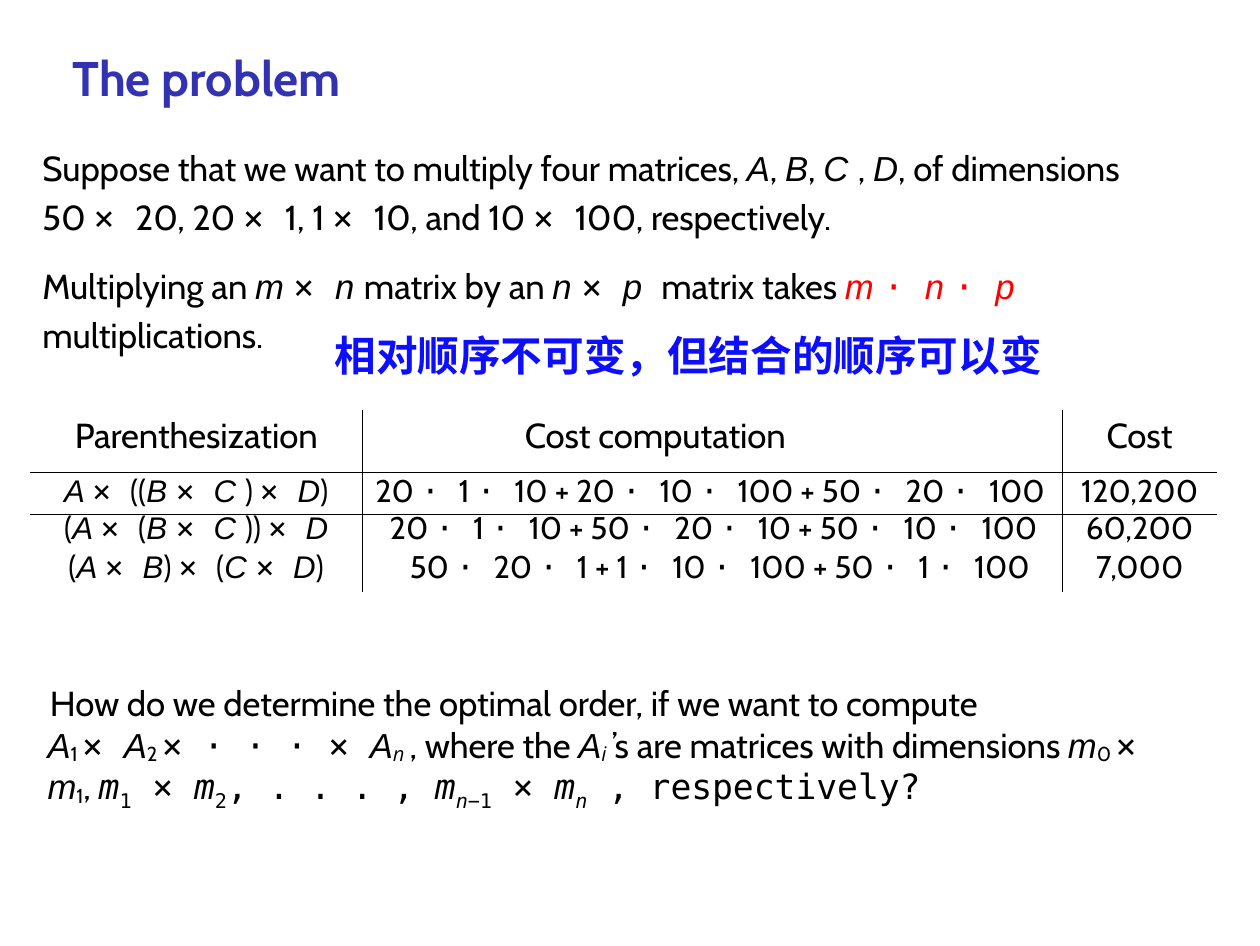
from dataclasses import dataclass

from lxml import etree
from pptx import Presentation
from pptx.dml.color import RGBColor
from pptx.enum.text import MSO_ANCHOR, MSO_AUTO_SIZE, PP_ALIGN
from pptx.oxml.ns import qn
from pptx.util import Inches, Pt

LEFT, MID, RIGHT = PP_ALIGN.LEFT, PP_ALIGN.CENTER, PP_ALIGN.RIGHT
TOP, CENTRE = MSO_ANCHOR.TOP, MSO_ANCHOR.MIDDLE
GROW = MSO_AUTO_SIZE.SHAPE_TO_FIT_TEXT
MONO = "DejaVu Sans Mono"


@dataclass
class Theme:
    """Colours, type sizes and line weights."""
    ink: str = "000000"
    head: str = "3333B2"
    red: str = "FF0000"
    blue: str = "0D0DFF"
    title: int = 14
    body: int = 10
    cell: int = 9
    note: int = 12
    lead: int = 14
    rule: float = 0.4
    font: str = "Cabin"


MARKS = {
    "~": ("Arial", True, 0),
    "_": ("Cabin", False, -9),
    "^": ("Open Sans", True, -9),
    "#": (MONO, False, 0),
    "@": (MONO, True, 0),
    "$": (MONO, False, -25),
    "%": (MONO, True, -25),
}
SIGNS = "×·"


def split(text):
    """Split marked text into parts, with plain signs marked as mono."""
    parts = []
    for part in text.split("|"):
        if part[:1] not in MARKS:
            for sign in SIGNS:
                part = part.replace(sign + " ", f"|#{sign} |")
        parts += filter(None, part.split("|"))
    return parts


class Page:
    """Holds the theme and the current slide."""

    def __init__(self, deck, theme):
        """Add a slide with a title and a body."""
        self.theme = theme
        self.slide = deck.slides.add_slide(deck.slide_layouts[1])

    def run(self, para, text, size, color, font, tilt=False, base=0, bold=False):
        """Add one styled run."""
        run = para.add_run()
        run.text = text
        run.font.name, run.font.size = font, Pt(size)
        run.font.italic, run.font.bold = tilt, bold
        run.font.color.rgb = RGBColor.from_string(color)
        if base:
            run._r.get_or_add_rPr().set("baseline", str(base * 1000))

    def math(self, para, text, size, color=None):
        """Add marked text as runs."""
        for part in split(text):
            mark = MARKS.get(part[0])
            font, tilt, base = mark or (self.theme.font, False, 0)
            self.run(para, part[1:] if mark else part, size,
                     color or self.theme.ink, font, tilt, base)

    def para(self, frame, first, lead=None, gap=0, indent=0.0, align=LEFT, inset=0.0):
        """Return a paragraph with spacing and no bullet."""
        para = frame.paragraphs[0] if first else frame.add_paragraph()
        para.alignment = align
        para.line_spacing = Pt(lead) if lead else 1.0
        para.space_before = Pt(gap)
        props = para._p.get_or_add_pPr()
        props.set("marL", str(Inches(indent)))
        props.set("marR", str(Inches(inset)))
        props.set("indent", "0")
        etree.SubElement(props, qn("a:buNone"))
        return para

    def frame(self, shape, box):
        """Place a text shape and clear its insets."""
        shape.left, shape.top, shape.width, shape.height = map(Inches, box)
        frame = shape.text_frame
        frame.margin_left = frame.margin_right = 0
        frame.margin_top = frame.margin_bottom = 0
        frame.vertical_anchor, frame.word_wrap = TOP, True
        frame.auto_size = GROW
        return frame

    def title(self, text, box):
        """Fill the title."""
        look = self.theme
        para = self.para(self.frame(self.slide.shapes.title, box), True,
                         look.lead, indent=0.01)
        self.run(para, text, look.title, look.head, look.font, bold=True)

    def body(self, paras, box):
        """Fill the body with paragraphs of coloured parts."""
        frame = self.frame(self.slide.placeholders[1], box)
        for i, parts in enumerate(paras):
            para = self.para(frame, i == 0, self.theme.lead, 6 if i else 0, 0.01)
            for text, color in parts:
                self.math(para, text, self.theme.body, color)

    def text(self, lines, box):
        """Add a text box whose first line has fixed spacing."""
        frame = self.frame(self.slide.shapes.add_textbox(0, 0, 0, 0), box)
        for i, line in enumerate(lines):
            para = self.para(frame, i == 0, None if i else self.theme.lead,
                             indent=0 if i else 0.01)
            self.math(para, line, self.theme.body)

    def note(self, text, box):
        """Add a bold one-line remark."""
        look = self.theme
        frame = self.slide.shapes.add_textbox(*map(Inches, box)).text_frame
        frame.word_wrap, frame.auto_size = False, GROW
        self.run(frame.paragraphs[0], text, look.note, look.blue, "Calibri", bold=True)

    def edge(self, cell, sides):
        """Draw the named sides of a cell and clear the rest."""
        props = cell._tc.get_or_add_tcPr()
        for i, side in enumerate("LRTB"):
            line = etree.Element(qn("a:ln" + side), w=str(Pt(self.theme.rule)))
            if side in sides:
                fill = etree.SubElement(line, qn("a:solidFill"))
                etree.SubElement(fill, qn("a:srgbClr"), val=self.theme.ink)
            else:
                etree.SubElement(line, qn("a:noFill"))
            props.insert(i, line)

    def table(self, rows, box, wide, high):
        """Add a ruled table."""
        size = len(rows), len(wide)
        table = self.slide.shapes.add_table(*size, *map(Inches, box)).table
        table.first_row = table.horz_banding = False
        for col, width in zip(table.columns, wide):
            col.width = Inches(width)
        for row, height in zip(table.rows, high):
            row.height = Inches(height)
        for r, texts in enumerate(rows):
            for c, text in enumerate(texts):
                cell = table.cell(r, c)
                cell.fill.background()
                cell.vertical_anchor = CENTRE
                cell.margin_left = cell.margin_right = 0
                cell.margin_top = cell.margin_bottom = 0
                head, main = r == 0, c == 1
                align = MID if not main else LEFT if head else RIGHT
                para = self.para(cell.text_frame, True, 9.4 if r < 2 else 8.2,
                                 indent=0.65 if head and main else 0, align=align,
                                 inset=0.04 + 0.03 * r if align == RIGHT else 0)
                self.math(para, text, self.theme.body if head else self.theme.cell)
                sides = ("L" if c else "") + ("R" if c < size[1] - 1 else "")
                sides += ("T" if r in (1, 2) else "") + ("B" if r < 2 else "")
                self.edge(cell, sides)


deck = Presentation()
deck.slide_width, deck.slide_height = Pt(363), Pt(272.5)
look = Theme()
page = Page(deck, look)
page.title("The problem", (0.28, 0.23, 4.33, 0.2))
page.body([
    [("Suppose that we want to multiply four matrices, |~A|, |~B|, |~C |, |~D|, "
      "of dimensions 50 × 20, 20 × 1, 1 × 10, and 10 × 100, respectively.", look.ink)],
    [("Multiplying an |~m |× |~n |matrix by an |~n |× |~p  |matrix takes ", look.ink),
     ("~m |· |~n |· |~p ", look.red),
     ("multiplications.", look.ink)],
], (0.16, 0.56, 4.4, 0.87))
page.table([
    ("Parenthesization", "Cost computation", "Cost"),
    ("~A |× ((|~B |× |~C |) × |~D|)",
     "20 · 1 · 10 + 20 · 10 · 100 + 50 · 20 · 100", "120,200"),
    ("(|~A |× (|~B |× |~C |)) × |~D",
     "20 · 1 · 10 + 50 · 20 · 10 + 50 · 10 · 100", "60,200"),
    ("(|~A |× |~B|) × (|~C |× |~D|)",
     "50 · 20 · 1 + 1 · 10 · 100 + 50 · 1 · 100", "7,000"),
], (0.12, 1.64, 4.75, 0.73), (1.33, 2.8, 0.62), (0.25, 0.17, 0.15, 0.16))
page.text([
    "How do we determine the optimal order, if we want to compute",
    "~A|_1 |× |~A|_2 |× · · · × |~A|^n |, where the |~A|^i |"
    "’s are matrices with dimensions |~m|_0 |× |~m|_1|, |@m|$1|# × |@m|$2|"
    "#, . . . , |@m|%n|$−1|# × |@m|%n|# , respectively?",
], (0.19, 2.7, 4.39, 0.53))
page.note("相对顺序不可变，但结合的顺序可以变", (1.24, 1.27, 3.05, 0.3))
deck.save("out.pptx")
